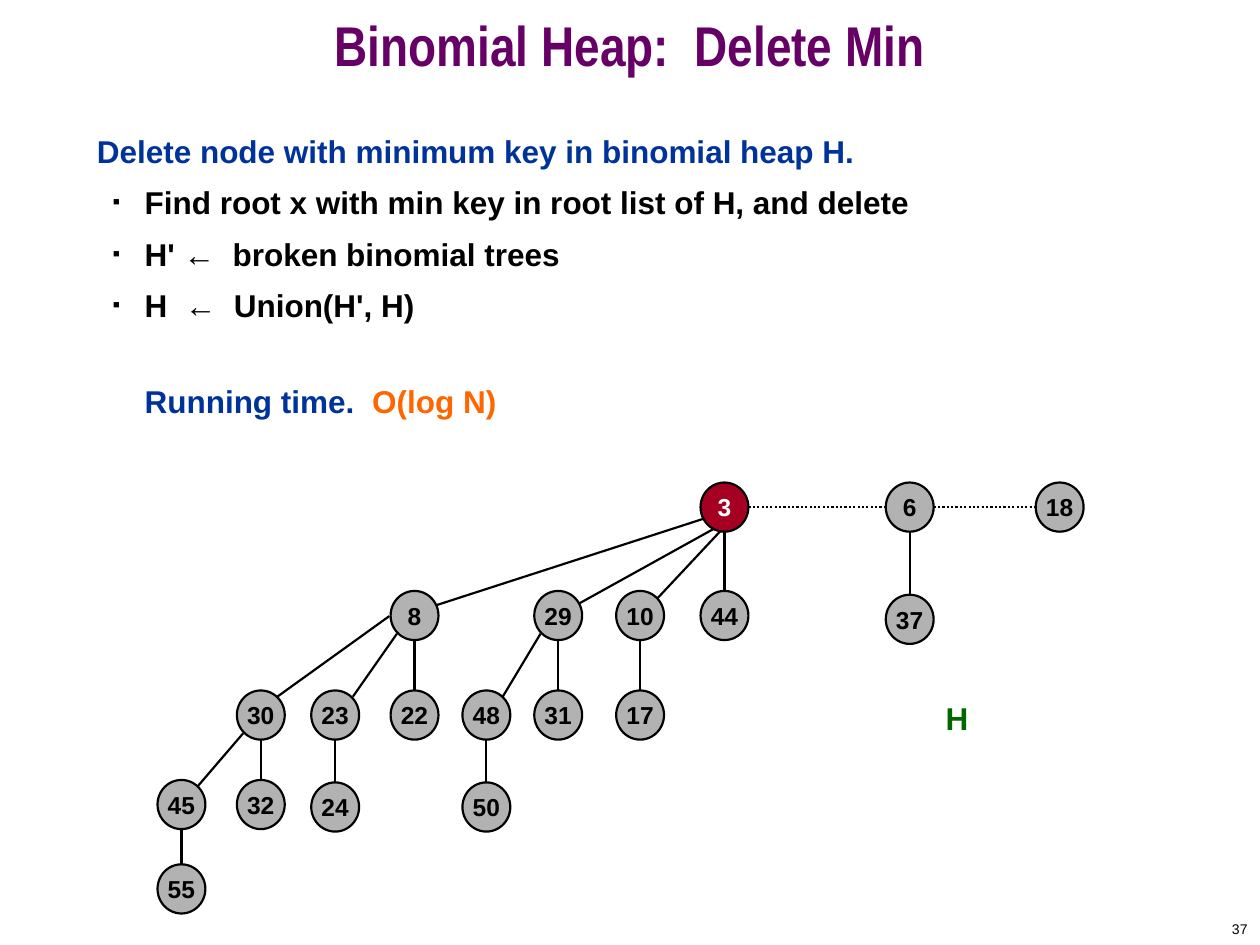
import pptx
import pptx.util
import pptx.dml.color
import pptx.enum.dml
import pptx.enum.shapes
import pptx.enum.text
from lxml import etree

Inches = pptx.util.Inches
Pt = pptx.util.Pt
RGBColor = pptx.dml.color.RGBColor
Align = pptx.enum.text.PP_ALIGN
Anchor = pptx.enum.text.MSO_ANCHOR

BLACK = RGBColor(0, 0, 0)
WHITE = RGBColor(255, 255, 255)
GRAY = RGBColor(0xB2, 0xB2, 0xB2)
RED = RGBColor(0xA5, 0x00, 0x21)
BLUE = RGBColor(0x00, 0x33, 0x99)
GREEN = RGBColor(0x00, 0x66, 0x00)
ORANGE = RGBColor(0xFF, 0x66, 0x00)
PURPLE = RGBColor(0x66, 0x00, 0x66)

NS = "http://schemas.openxmlformats.org/drawingml/2006/main"
WIDE, HIGH = 0.38, 0.39

# key: left and top of each heap node
NODES = {
    3: (5.56, 3.83), 6: (7.03, 3.83), 18: (8.22, 3.83),
    8: (3.1, 4.69), 29: (4.24, 4.69), 10: (4.89, 4.69), 44: (5.56, 4.69),
    37: (7.03, 4.72),
    30: (1.88, 5.48), 23: (2.47, 5.48), 22: (3.1, 5.48), 48: (3.67, 5.48),
    31: (4.24, 5.48), 17: (4.89, 5.48),
    45: (1.25, 6.19), 32: (1.88, 6.19), 24: (2.47, 6.21), 50: (3.67, 6.21),
    55: (1.25, 6.86),
}
ROOTS = [3, 6, 18]
# parent and the child straight below it
DROPS = [(3, 44), (6, 37), (8, 22), (29, 31), (10, 17), (30, 32),
         (23, 24), (48, 50), (45, 55)]
# child end and parent end of each slanted edge
SLANTS = [
    (4.56, 4.81, 5.75, 4.15), (5.17, 4.8, 5.76, 4.17), (3.38, 4.83, 5.73, 4.07),
    (1.57, 6.24, 1.93, 5.82), (2.8, 5.53, 3.15, 5.03), (2.2, 5.53, 3.09, 4.89),
    (3.99, 5.53, 4.29, 5.03),
]
STEPS = ["Find root x with min key in root list of H, and delete",
         "H' ←  broken binomial trees",
         "H  ←  Union(H', H)"]


def apply(item, **look):
    for name, value in look.items():
        setattr(item, name, value)


class Deck:
    """Holds the text and line style and the slide being drawn."""

    face = {"name": "Arial", "size": Pt(18), "bold": True}
    pen = Pt(1.25)

    def __init__(self, slide):
        self.shapes = slide.shapes

    def add_run(self, para, text, color, **look):
        run = para.add_run()
        run.text = text
        apply(run.font, **{**self.face, **look})
        run.font.color.rgb = color

    def box(self, left, top, width, height, wrap=True, anchor=Anchor.TOP):
        """Adds an empty text box and returns its text frame."""
        frame = self.shapes.add_textbox(
            Inches(left), Inches(top), Inches(width), Inches(height)).text_frame
        apply(frame, word_wrap=wrap, vertical_anchor=anchor)
        return frame

    def label(self, area, text, color, align=Align.CENTER, space=None,
              wrap=True, anchor=Anchor.TOP, **look):
        para = self.box(*area, wrap, anchor).paragraphs[0]
        apply(para, alignment=align, line_spacing=space)
        self.add_run(para, text, color, **look)

    def indent(self, para, left, hang=0, mark=None):
        props = para._p.get_or_add_pPr()
        props.set("marL", str(Inches(left)))
        props.set("indent", str(Inches(hang)))
        if mark:
            color = etree.SubElement(props, f"{{{NS}}}buClr")
            etree.SubElement(color, f"{{{NS}}}srgbClr", val=str(BLACK))
            etree.SubElement(props, f"{{{NS}}}buSzPct", val="35000")
            etree.SubElement(props, f"{{{NS}}}buFont", typeface="Arial")
            etree.SubElement(props, f"{{{NS}}}buChar", char=mark)

    def line(self, x1, y1, x2, y2, dash=None):
        link = self.shapes.add_connector(
            pptx.enum.shapes.MSO_CONNECTOR.STRAIGHT,
            Inches(x1), Inches(y1), Inches(x2), Inches(y2))
        apply(link.line, width=self.pen, dash_style=dash)
        link.line.color.rgb = BLACK
        etree.SubElement(link._element.spPr, f"{{{NS}}}effectLst")

    def node(self, key, left, top, fill=GRAY, ink=BLACK):
        disc = self.shapes.add_shape(
            pptx.enum.shapes.MSO_SHAPE.OVAL,
            Inches(left), Inches(top), Inches(WIDE), Inches(HIGH))
        disc.shadow.inherit = False
        disc.fill.solid()
        disc.fill.fore_color.rgb = fill
        disc.line.color.rgb = BLACK
        disc.line.width = self.pen
        frame = disc.text_frame
        apply(frame, word_wrap=False, vertical_anchor=Anchor.MIDDLE)
        para = frame.paragraphs[0]
        para.alignment = Align.CENTER
        self.add_run(para, str(key), ink, size=Pt(14))


def draw_heap(deck):
    for near, far in zip(ROOTS, ROOTS[1:]):
        (left, top), (right, _) = NODES[near], NODES[far]
        mid = top + HIGH / 2
        deck.line(left + WIDE, mid, right, mid,
                  pptx.enum.dml.MSO_LINE.ROUND_DOT)
    for above, below in DROPS:
        (left, top), (_, base) = NODES[above], NODES[below]
        mid = left + WIDE / 2
        deck.line(mid, base, mid, top + HIGH)
    for ends in SLANTS:
        deck.line(*ends)
    for key, place in NODES.items():
        look = {"fill": RED, "ink": WHITE} if key == 3 else {}
        deck.node(key, *place, **look)
    deck.label((7.25, 5.5, 0.69, 0.4), "H", GREEN)


def draw_text(deck):
    deck.label((0, 0, 10, 0.83), "Binomial Heap:  Delete Min", PURPLE,
               space=0.7, anchor=Anchor.MIDDLE,
               name="Arial Narrow", size=Pt(32))
    body = deck.box(0.67, 1, 8.58, 2.5)
    deck.add_run(body.paragraphs[0],
                 "Delete node with minimum key in binomial heap H.", BLUE)
    for step in STEPS:
        para = body.add_paragraph()
        apply(para, line_spacing=1.1, space_before=Pt(5.5))
        deck.indent(para, 0.38, -0.25, "■")
        deck.add_run(para, step, BLACK)
    para = body.add_paragraph()
    para.space_before = Pt(33.5)
    deck.indent(para, 0.38)
    deck.add_run(para, "Running time.  ", BLUE)
    deck.add_run(para, "O(log N)", ORANGE)
    deck.label((7.92, 7.25, 2.08, 0.25), "37", BLACK, Align.RIGHT,
               wrap=False, anchor=Anchor.MIDDLE, size=Pt(8), bold=False)


def main():
    show = pptx.Presentation()
    apply(show, slide_width=Inches(10), slide_height=Inches(7.5))
    deck = Deck(show.slides.add_slide(show.slide_layouts[6]))
    draw_heap(deck)
    draw_text(deck)
    show.save("out.pptx")


if __name__ == "__main__":
    main()
